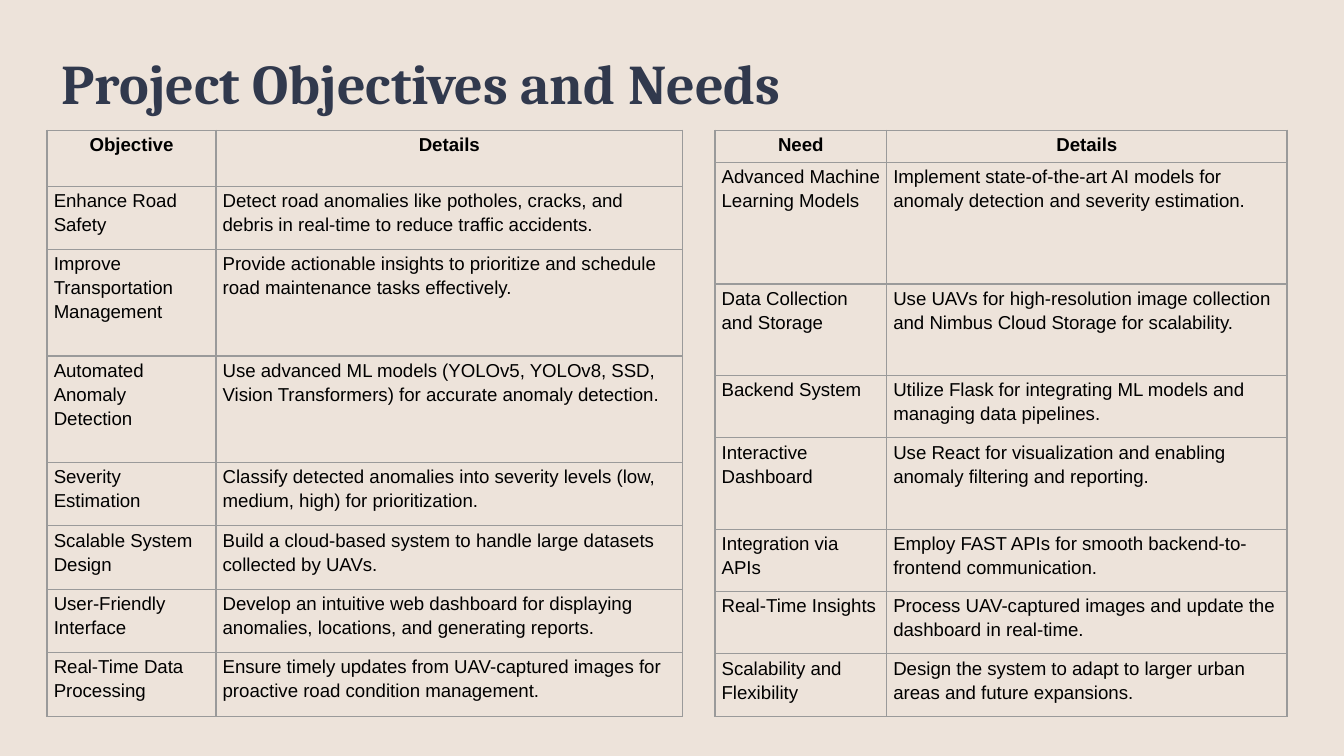
from lxml import etree
from pptx import Presentation
from pptx.dml.color import RGBColor
from pptx.enum.text import MSO_ANCHOR, PP_ALIGN
from pptx.oxml.ns import qn
from pptx.util import Pt

CENTER, LEFT = PP_ALIGN.CENTER, PP_ALIGN.LEFT
MIDDLE = MSO_ANCHOR.MIDDLE
BACKGROUND, NAVY, BLACK, GRAY = "EDE3DA", "31394D", "000000", "9A9A9A"
TABLE_TOP = 69.8

OBJECTIVES = [
    ("Objective", "Details"),
    ("Enhance Road Safety",
     "Detect road anomalies like potholes, cracks, and debris in real-time to reduce traffic accidents."),
    ("Improve Transportation Management",
     "Provide actionable insights to prioritize and schedule road maintenance tasks effectively."),
    ("Automated Anomaly Detection",
     "Use advanced ML models (YOLOv5, YOLOv8, SSD, Vision Transformers) for accurate anomaly detection."),
    ("Severity Estimation",
     "Classify detected anomalies into severity levels (low, medium, high) for prioritization."),
    ("Scalable System Design",
     "Build a cloud-based system to handle large datasets collected by UAVs."),
    ("User-Friendly Interface",
     "Develop an intuitive web dashboard for displaying anomalies, locations, and generating reports."),
    ("Real-Time Data Processing",
     "Ensure timely updates from UAV-captured images for proactive road condition management."),
]
NEEDS = [
    ("Need", "Details"),
    ("Advanced Machine Learning Models",
     "Implement state-of-the-art AI models for anomaly detection and severity estimation."),
    ("Data Collection and Storage",
     "Use UAVs for high-resolution image collection and Nimbus Cloud Storage for scalability."),
    ("Backend System",
     "Utilize Flask for integrating ML models and managing data pipelines."),
    ("Interactive Dashboard",
     "Use React for visualization and enabling anomaly filtering and reporting."),
    ("Integration via APIs",
     "Employ FAST APIs for smooth backend-to-frontend communication."),
    ("Real-Time Insights",
     "Process UAV-captured images and update the dashboard in real-time."),
    ("Scalability and Flexibility",
     "Design the system to adapt to larger urban areas and future expansions."),
]


def color(value):
    """Turn a hex string into a colour."""
    return RGBColor.from_string(value)


def style_font(para, name, size, value, bold):
    """Set the font of a whole paragraph."""
    font = para.font
    font.name, font.size, font.bold = name, Pt(size), bold
    font.color.rgb = color(value)


def add_title(page, text):
    """Add the slide title."""
    box = page.shapes.add_textbox(Pt(25.2), Pt(24), Pt(649.4), Pt(40))
    frame = box.text_frame
    frame.word_wrap = True
    frame.vertical_anchor = MIDDLE
    frame.margin_left = frame.margin_right = Pt(7.9)
    frame.margin_top = frame.margin_bottom = Pt(0)
    para = frame.paragraphs[0]
    para.text = text
    style_font(para, "Cambria", 30, NAVY, True)


def add_borders(cell):
    """Draw a thin line on every side of a cell."""
    properties = cell._tc.get_or_add_tcPr()
    for side in ("a:lnL", "a:lnR", "a:lnT", "a:lnB"):
        line = etree.SubElement(properties, qn(side), w=str(Pt(0.75)))
        fill = etree.SubElement(line, qn("a:solidFill"))
        etree.SubElement(fill, qn("a:srgbClr"), val=GRAY)


def fill_cell(cell, text, header):
    """Write one table cell, centred and bold in the header."""
    add_borders(cell)
    cell.fill.background()
    cell.margin_left = cell.margin_right = Pt(3.6)
    cell.margin_top = cell.margin_bottom = Pt(0.72)
    para = cell.text_frame.paragraphs[0]
    para.text = text
    para.alignment = CENTER if header else LEFT
    para.line_spacing = 1.15
    style_font(para, "Arial", 10, BLACK, header)


def add_grid(page, left, widths, heights, rows):
    """Add a bordered two-column table."""
    frame = page.shapes.add_table(len(rows), len(widths), Pt(left), Pt(TABLE_TOP),
                                  Pt(sum(widths)), Pt(sum(heights)))
    table = frame.table
    table.first_row = table.horz_banding = False
    for column, width in zip(table.columns, widths):
        column.width = Pt(width)
    for index, (row, height, texts) in enumerate(zip(table.rows, heights, rows)):
        row.height = Pt(height)
        for cell, text in zip(row.cells, texts):
            fill_cell(cell, text, index == 0)


def main():
    """Build the slide and save it."""
    deck = Presentation()
    deck.slide_width, deck.slide_height = Pt(720), Pt(405)
    page = deck.slides.add_slide(deck.slide_layouts[6])
    page.background.fill.solid()
    page.background.fill.fore_color.rgb = color(BACKGROUND)
    add_title(page, "Project Objectives and Needs")
    add_grid(page, 25.2, [90.5, 250], [30, 34, 57, 57] + [34] * 4, OBJECTIVES)
    add_grid(page, 383, [92, 214.5], [17.4, 65, 49, 33.4, 49] + [33.4] * 3, NEEDS)
    deck.save("out.pptx")


if __name__ == "__main__":
    main()
